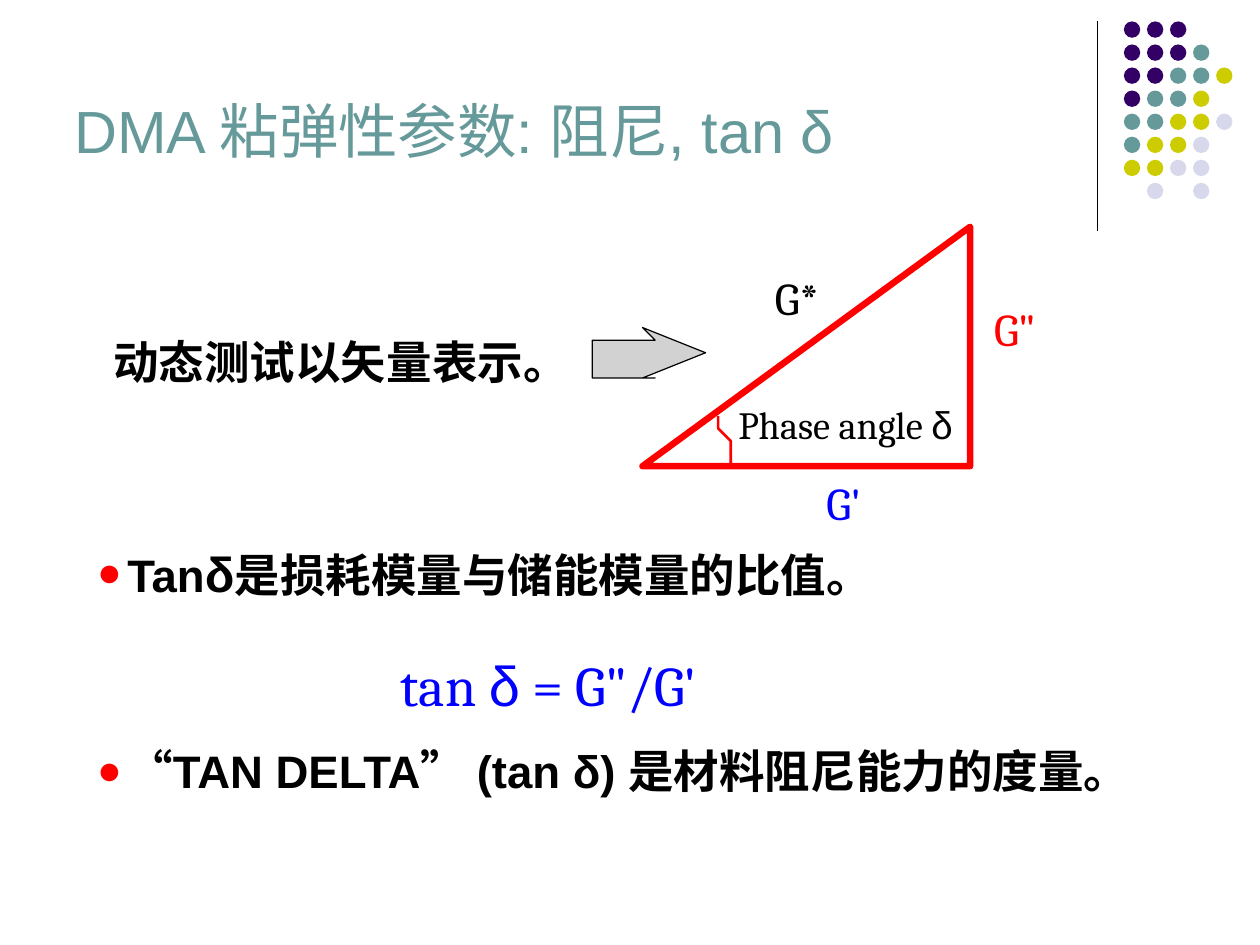
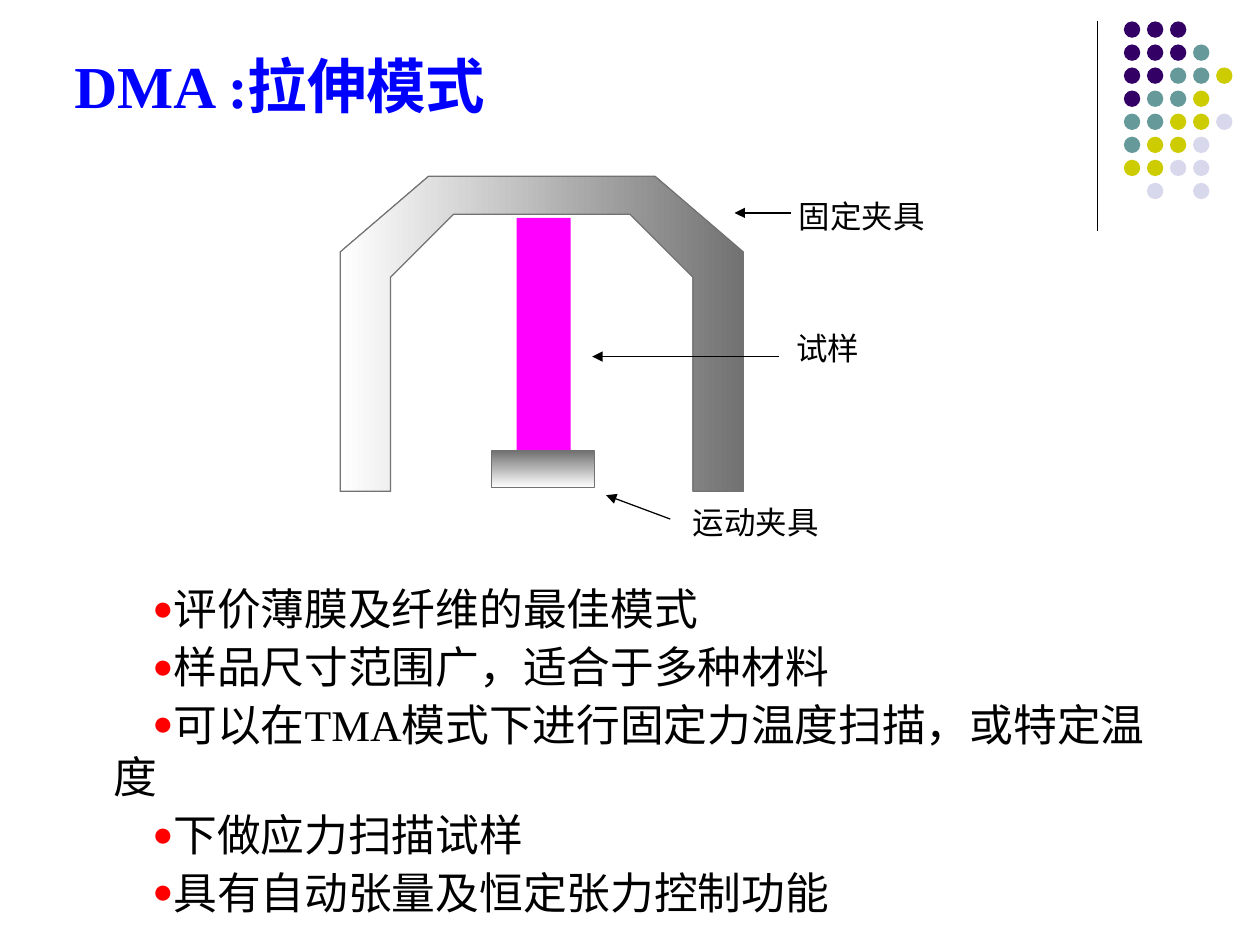
from dataclasses import dataclass
from math import cos, sin

from lxml.etree import SubElement
from pptx import Presentation
from pptx.dml.color import RGBColor
from pptx.enum.shapes import MSO_CONNECTOR as Connector, MSO_SHAPE as Preset
from pptx.enum.text import MSO_ANCHOR as Anchor, MSO_AUTO_SIZE as AutoSize, PP_ALIGN as Align
from pptx.oxml.ns import qn
from pptx.util import Inches, Pt


@dataclass(frozen=True)
class Theme:
    black: str = "000000"
    red: str = "FF0000"
    blue: str = "0000FF"
    magenta: str = "FF00FF"
    purple: str = "330066"
    teal: str = "669999"
    olive: str = "CCCC00"
    lilac: str = "D8D8EC"
    silver: str = "D2D2D2"
    steel: str = "727272"
    white: str = "FFFFFF"
    sans: str = "Arial"
    serif: str = "Times New Roman"
    math: str = "Cambria"
    title: int = 34
    equation: int = 32
    point: int = 26
    list_item: int = 25
    angle: int = 22
    label: int = 18


theme = Theme()
presentation = Presentation()
presentation.slide_width = Inches(10)
presentation.slide_height = Inches(7.5)
unit = presentation.slide_width // 100


def write(shape, box, paragraphs, size, font, color, bold=False, anchor=Anchor.TOP, bullet=None):
    shape.left, shape.top, shape.width, shape.height = [round(length * unit) for length in box]
    frame = shape.text_frame
    frame.word_wrap = True
    frame.auto_size = AutoSize.NONE
    frame.vertical_anchor = anchor
    frame.margin_left = frame.margin_top = frame.margin_right = frame.margin_bottom = 0
    for index, runs in enumerate(paragraphs):
        paragraph = frame.add_paragraph() if index else frame.paragraphs[0]
        if bullet:
            percent, hang, first = bullet
            properties = paragraph._p.get_or_add_pPr()
            properties.set("marL", str(round(hang * unit)))
            properties.set("indent", str(round(first * unit)))
            SubElement(SubElement(properties, qn("a:buClr")), qn("a:srgbClr"), val=theme.red)
            SubElement(properties, qn("a:buSzPct"), val=str(percent * 1000))
            SubElement(properties, qn("a:buChar"), char="●")
        paragraph.alignment = Align.LEFT
        paragraph.space_before = Pt(0)
        paragraph.space_after = Pt(3 if len(paragraphs) > 1 else 0)
        paragraph.font.size = Pt(size)
        paragraph.font.name = font
        paragraph.font.bold = bold
        paragraph.font.color.rgb = RGBColor.from_string(color)
        for text, changes in runs:
            run = paragraph.add_run()
            run.text = text
            for name, value in changes.items():
                setattr(run.font, name, value)


def paint(shape, line=None, width=0.71, fill=None, gradient_angle=None):
    if line:
        shape.line.color.rgb = RGBColor.from_string(line)
        shape.line.width = Pt(width)
    else:
        shape.line.fill.background()
    SubElement(shape.element.spPr, qn("a:effectLst"))
    if gradient_angle is not None:
        shape.fill.gradient()
        shape.fill.gradient_angle = gradient_angle
        for stop, color in zip(shape.fill.gradient_stops, (theme.steel, theme.white)):
            stop.color.rgb = RGBColor.from_string(color)
    elif fill:
        shape.fill.solid()
        shape.fill.fore_color.rgb = RGBColor.from_string(fill)
    elif hasattr(shape, "fill"):
        shape.fill.background()


damping = presentation.slides.add_slide(presentation.slide_layouts[3])
tension = presentation.slides.add_slide(presentation.slide_layouts[1])

ornament = damping.shapes.add_group_shape()
divider = ornament.shapes.add_connector(
    Connector.STRAIGHT, *[round(length * unit) for length in (87.1, 1.7, 87.1, 18.3)])
paint(divider, theme.black, 0.75)
dot_colors = {"P": theme.purple, "T": theme.teal, "Y": theme.olive, "L": theme.lilac}
dot_rows = ("PPP", "PPPT", "PPTTY", "PTTY", "TTYYL", "TYYL", "YYLL", "-L-L")
for row, letters in enumerate(dot_rows):
    for column, letter in enumerate(letters):
        if letter in dot_colors:
            corner = (89.2 + column * 1.83, 1.7 + row * 1.83, 1.3, 1.3)
            dot = ornament.shapes.add_shape(Preset.OVAL, *[round(length * unit) for length in corner])
            paint(dot, fill=dot_colors[letter])
presentation.slide_master.shapes.element.append(ornament.element)

write(damping.shapes.title, (5.9, 7.2, 81, 5.9), [[("DMA 粘弹性参数: 阻尼, tan δ", {})]],
      theme.title, theme.sans, theme.teal, anchor=Anchor.BOTTOM)

left, right, top, base = 51.3, 77.2, 17.9, 36.9
builder = damping.shapes.build_freeform(right, top, scale=unit)
builder.add_line_segments([(right, base), (left, base)], close=True)
paint(builder.convert_to_shape(), theme.red, 3.75)

steps = [0.7 * step / 16 for step in range(17)]
arc = [(left + 6.8 * cos(turn), base - 5.9 * sin(turn)) for turn in steps]
builder = damping.shapes.build_freeform(*arc[0], scale=unit)
builder.add_line_segments(arc[1:], close=False)
paint(builder.convert_to_shape(), theme.red, 1.47)

builder = damping.shapes.build_freeform(56, 28.35, scale=unit)
builder.add_line_segments([(50.9, 26.3), (51.5, 27.3), (47.2, 27.3),
                           (47.2, 29.5), (51.5, 29.5), (50.9, 30.4)], close=True)
paint(builder.convert_to_shape(), theme.black, fill=theme.silver)

delta = ("δ", {"name": theme.sans})
damping_texts = [
    ((58.6, 31.8, 22.7, 4.5), [("Phase angle ", {}), delta], theme.angle, theme.math, theme.black, False),
    ((61.5, 21.4, 4.6, 4.5), [("G*", {})], theme.point, theme.math, theme.black, False),
    ((65.6, 37.7, 5.3, 4.5), [("G'", {})], theme.point, theme.math, theme.blue, False),
    ((78.9, 23.9, 4.3, 4.5), [('G"', {})], theme.point, theme.math, theme.red, False),
    ((9, 26.5, 37.5, 5.4), [("动态测试以矢量表示。", {})], theme.point, theme.sans, theme.black, True),
    ((31.8, 51.6, 55, 6), [("tan ", {}), delta, (" = G\"/G'", {})],
     theme.equation, theme.math, theme.blue, False),
]
for box, runs, size, font, color, bold in damping_texts:
    write(damping.shapes.add_textbox(0, 0, 0, 0), box, [runs], size, font, color, bold)

damping_points = [
    ((7.7, 43.1, 83.3, 8.8),
     [("Tan", {}), ("δ", {"size": Pt(28)}), ("是损耗模量与储能模量的比值。", {})]),
    ((7.7, 59, 82.4, 8.9), [("“TAN DELTA” (tan δ) 是材料阻尼能力的度量。", {})]),
]
for index, (box, runs) in enumerate(damping_points, 1):
    write(damping.placeholders[index], box, [runs], theme.point, theme.sans, theme.black,
          bold=True, bullet=(90, 2.4, -2.4))

write(tension.shapes.title, (5.9, 2.1, 81, 7.5), [[("DMA :拉伸模式", {})]],
      theme.title, theme.serif, theme.blue, bold=True, anchor=Anchor.BOTTOM)

features = ("评价薄膜及纤维的最佳模式",
            "样品尺寸范围广，适合于多种材料",
            "可以在TMA模式下进行固定力温度扫描，或特定温度",
            "下做应力扫描试样",
            "具有自动张量及恒定张力控制功能")
write(tension.placeholders[1], (6.7, 46.2, 85, 27), [[(feature, {})] for feature in features],
      theme.list_item, theme.serif, theme.black, bullet=(80, 2.3, 3.1))

sample = tension.shapes.add_shape(
    Preset.RECTANGLE, *[round(length * unit) for length in (41, 17.3, 4.3, 18.6)])
paint(sample, fill=theme.magenta)

middle = 43
half_frame = [(9.2, 14.2), (16.2, 20.45), (16.2, 38.6), (12.1, 38.6), (12.1, 21.6), (7.2, 17.2)]
outline = [(middle + offset, height) for offset, height in half_frame]
outline += [(middle - offset, height) for offset, height in reversed(half_frame)]
builder = tension.shapes.build_freeform(*outline[0], scale=unit)
builder.add_line_segments(outline[1:], close=True)
paint(builder.convert_to_shape(), theme.steel, gradient_angle=180)

moving_clamp = tension.shapes.add_shape(
    Preset.RECTANGLE, *[round(length * unit) for length in (39, 35.8, 8.2, 2.9)])
paint(moving_clamp, theme.steel, gradient_angle=270)

part_labels = [
    ("固定夹具", (63.4, 15.1, 12.1, 3.5), (62.8, 16.9, 58.3, 16.9)),
    ("试样", (63.2, 25.6, 12, 3.5), (61.8, 28.3, 47, 28.3)),
    ("运动夹具", (55, 39.4, 13.4, 3.5), (53.2, 41.2, 48.1, 39.3)),
]
for text, box, ends in part_labels:
    write(tension.shapes.add_textbox(0, 0, 0, 0), box, [[(text, {})]],
          theme.label, theme.serif, theme.black, anchor=Anchor.BOTTOM)
    arrow = tension.shapes.add_connector(Connector.STRAIGHT, *[round(length * unit) for length in ends])
    paint(arrow, theme.black)
    SubElement(arrow.element.spPr.find(qn("a:ln")), qn("a:tailEnd"), type="triangle")

presentation.save("out.pptx")
